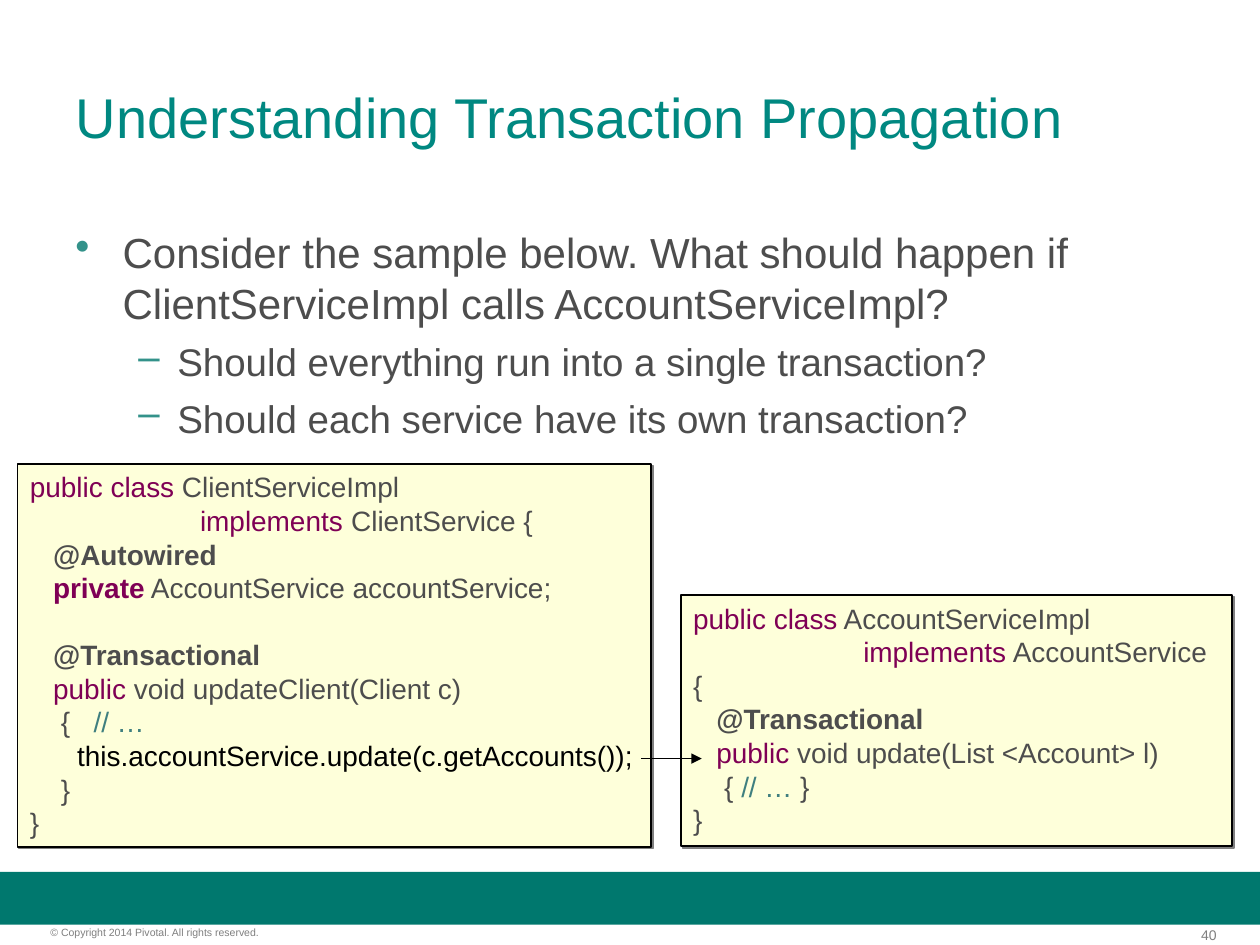
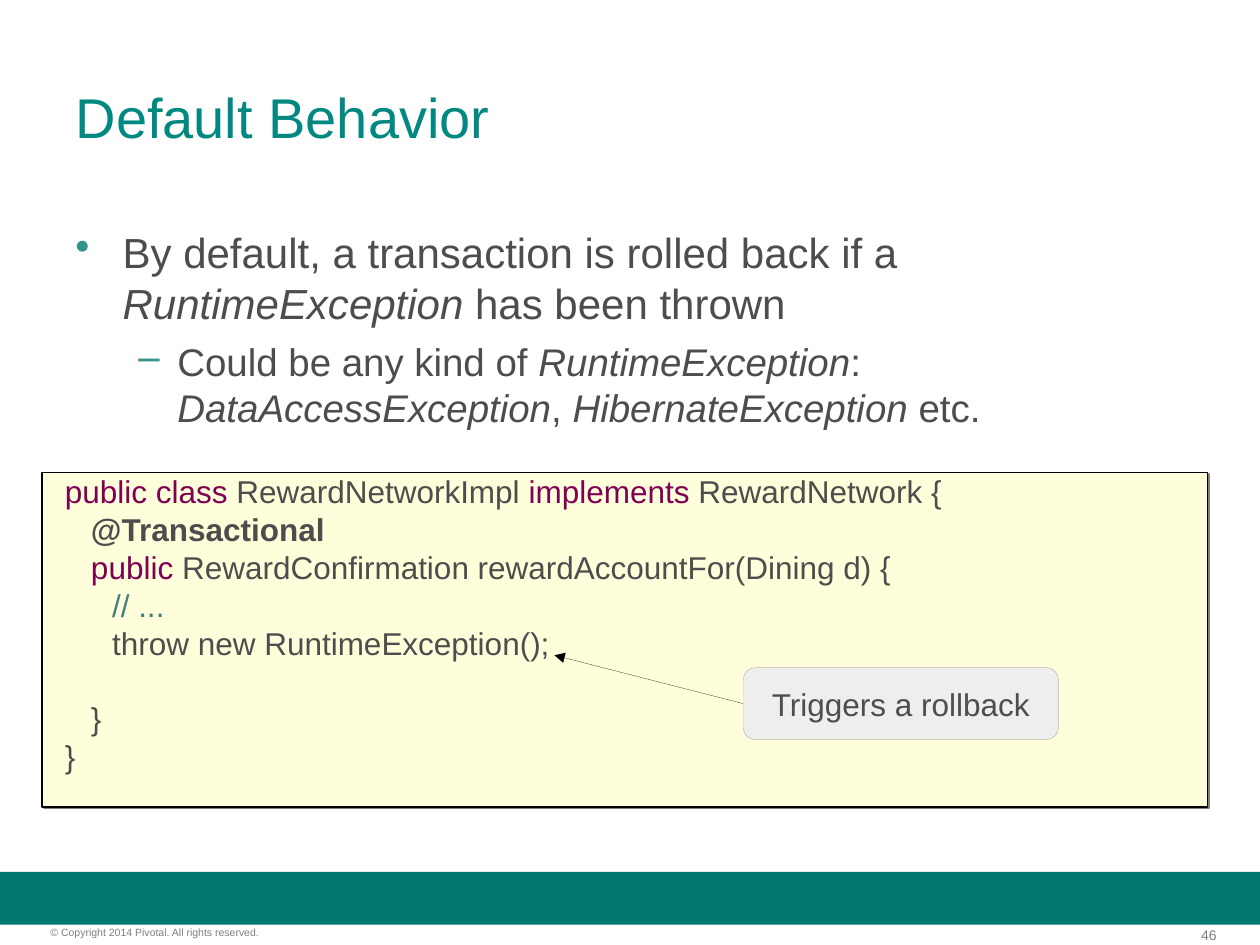
from lxml import etree
from pptx import Presentation
from pptx.dml.color import RGBColor
from pptx.enum import shapes, text
from pptx.oxml import ns
from pptx.util import Pt

FONT = "Arial"
LINE_HEIGHT = 1.2
HAIRLINE = 0.1
COLORS = {
    "title": "008881", "band": "00786E", "bullet": "33928A",
    "body": "4D4D4D", "footer": "7F7F7F", "black": "000000",
    "keyword": "7F0055", "comment": "3F7F7F",
    "code_fill": "FEFFDA", "shadow": "808080",
    "callout_fill": "EEEEEE", "callout_line": "808080",
}
# Run styles: colour, bold, italic
STYLES = {
    "plain": ("body", False, False),
    "italic": ("body", False, True),
    "annotation": ("body", True, False),
    "keyword": ("keyword", False, False),
    "bold keyword": ("keyword", True, False),
    "comment": ("comment", False, False),
    "call": ("black", False, False),
}
# Bullet levels: character, left margin, hanging indent, font size
LEVELS = [("•", 27, 27, 24), ("–", 58.3, 22.3, 22)]
CODE_INDENT = 27
IMPLEMENTS_INDENT = " " * 22

TITLE_BOX = (36, 21.6, 648, 90)
BODY_BOX = (36, 126, 648, 356.4)
BAND_BOX = (0, 498.2, 720, 30.2)
COPYRIGHT_BOX = (28.8, 529.2, 179.3, 7.2)
NUMBER_BOX = (670.3, 529.2, 25, 9.4)


def color(name):
    return RGBColor.from_string(COLORS[name])


def points(box):
    return [Pt(value) for value in box]


def add_xml(parent, tag, **attributes):
    element = etree.SubElement(parent, ns.qn(tag))
    for name, value in attributes.items():
        element.set(name, str(value))
    return element


def set_font(font, size, color_name):
    font.name, font.size = FONT, Pt(size)
    font.color.rgb = color(color_name)


def set_frame(frame, margins=(7.2, 3.6, 7.2, 3.6), anchor=text.MSO_ANCHOR.TOP, wrap=True):
    frame.auto_size = text.MSO_AUTO_SIZE.NONE
    frame.word_wrap = wrap
    frame.vertical_anchor = anchor
    (frame.margin_left, frame.margin_top,
     frame.margin_right, frame.margin_bottom) = points(margins)


def set_indent(paragraph, left, hanging):
    properties = paragraph._p.get_or_add_pPr()
    properties.set("marL", str(Pt(left)))
    properties.set("indent", str(-Pt(hanging)))
    return properties


def add_paragraph(frame, is_first):
    return frame.paragraphs[0] if is_first else frame.add_paragraph()


def add_runs(paragraph, runs, size):
    """Fill a paragraph from plain strings and (text, style) pairs."""
    paragraph.font.name, paragraph.font.size = FONT, Pt(size)
    for item in runs:
        words, style = (item, "plain") if isinstance(item, str) else item
        color_name, bold, italic = STYLES[style]
        run = paragraph.add_run()
        run.text = words
        set_font(run.font, size, color_name)
        run.font.bold, run.font.italic = bold, italic


def add_box(slide, box, fill, line=None, line_width=1, shape_type=shapes.MSO_SHAPE.RECTANGLE):
    shape = slide.shapes.add_shape(shape_type, *points(box))
    shape.shadow.inherit = False
    shape.fill.solid()
    shape.fill.fore_color.rgb = color(fill)
    if line:
        shape.line.color.rgb = color(line)
        shape.line.width = Pt(line_width)
    else:
        shape.line.fill.background()
    return shape


def add_small_text(slide, box, words, size, alignment):
    frame = slide.shapes.add_textbox(*points(box)).text_frame
    set_frame(frame, margins=(0, 0, 0, 0))
    paragraph = frame.paragraphs[0]
    paragraph.text, paragraph.alignment = words, alignment
    set_font(paragraph.font, size, "footer")


def add_title(slide, words):
    title = slide.shapes.title
    title.left, title.top, title.width, title.height = points(TITLE_BOX)
    set_frame(title.text_frame, anchor=text.MSO_ANCHOR.MIDDLE)
    paragraph = title.text_frame.paragraphs[0]
    paragraph.text, paragraph.alignment = words, text.PP_ALIGN.LEFT
    set_font(paragraph.font, 32, "title")


def add_bullets(slide, box, bullets):
    frame = slide.shapes.add_textbox(*points(box)).text_frame
    set_frame(frame)
    for index, (level, runs) in enumerate(bullets):
        character, left, hanging, size = LEVELS[level]
        paragraph = add_paragraph(frame, index == 0)
        paragraph.level = level
        properties = set_indent(paragraph, left, hanging)
        bullet_color = add_xml(properties, "a:buClr")
        add_xml(bullet_color, "a:srgbClr", val=COLORS["bullet"])
        add_xml(properties, "a:buChar", char=character)
        if index:
            paragraph.space_before = Pt(6)
        add_runs(paragraph, runs, size)


def add_code(slide, box, lines, size, margins=(7.2, 3.6, 7.2, 3.6)):
    """Draw a listing; an empty line becomes space before the next one."""
    shape = add_box(slide, box, "code_fill", "black")
    effects = shape._element.spPr.find(ns.qn("a:effectLst"))
    shadow = add_xml(effects, "a:outerShdw", dist=Pt(1.4), dir=45 * 60000, algn="tl")
    add_xml(shadow, "a:srgbClr", val=COLORS["shadow"])
    frame = shape.text_frame
    set_frame(frame, margins)
    gap = 0
    for index, runs in enumerate(lines):
        if not runs:
            gap = size * LINE_HEIGHT
            continue
        paragraph = add_paragraph(frame, index == 0)
        paragraph.alignment = text.PP_ALIGN.LEFT
        set_indent(paragraph, CODE_INDENT, CODE_INDENT)
        if gap:
            paragraph.space_before = Pt(gap)
        add_runs(paragraph, runs, size)
        gap = 0


def add_arrow(slide, start, end, width):
    arrow = slide.shapes.add_connector(
        shapes.MSO_CONNECTOR.STRAIGHT, *points(start + end))
    arrow.line.color.rgb = color("black")
    arrow.line.width = Pt(width)
    add_xml(arrow.line._get_or_add_ln(), "a:tailEnd", type="triangle")
    add_xml(arrow._element.spPr, "a:effectLst")


def add_callout(slide, box, words, target):
    """Draw a rounded label with an arrow from its left side to the target."""
    left, top, _, height = box
    add_arrow(slide, (left, top + height / 2), target, HAIRLINE)
    shape = add_box(slide, box, "callout_fill", "callout_line", HAIRLINE,
                    shapes.MSO_SHAPE.ROUNDED_RECTANGLE)
    set_frame(shape.text_frame, anchor=text.MSO_ANCHOR.MIDDLE, wrap=False)
    paragraph = shape.text_frame.paragraphs[0]
    paragraph.text, paragraph.alignment = words, text.PP_ALIGN.CENTER
    set_font(paragraph.font, 18, "body")


def add_slide(presentation, title, number, bullets):
    slide = presentation.slides.add_slide(presentation.slide_layouts.get_by_name("Title Only"))
    add_box(slide, BAND_BOX, "band")
    add_small_text(slide, NUMBER_BOX, str(number), 8, text.PP_ALIGN.RIGHT)
    add_small_text(slide, COPYRIGHT_BOX, "© Copyright 2014 Pivotal. All rights reserved.",
                   6, text.PP_ALIGN.LEFT)
    add_title(slide, title)
    add_bullets(slide, BODY_BOX, bullets)
    return slide


def add_propagation_slide(presentation):
    slide = add_slide(presentation, "Understanding Transaction Propagation", 40, [
        (0, ["Consider the sample below. What should happen if "
             "ClientServiceImpl calls AccountServiceImpl?"]),
        (1, ["Should everything run into a single transaction?"]),
        (1, ["Should each service have its own transaction?"]),
    ])
    add_code(slide, (10, 265, 362, 219), [
        [("public class", "keyword"), " ClientServiceImpl"],
        [(IMPLEMENTS_INDENT + "implements", "keyword"), " ClientService {"],
        [("   @Autowired", "annotation")],
        [("   private", "bold keyword"), " AccountService accountService;"],
        [],
        [("   @Transactional", "annotation")],
        [("   public", "keyword"), " void updateClient(Client c)"],
        ["    {   ", ("// …", "comment")],
        [("\tthis.accountService.update(c.getAccounts());", "call")],
        ["    }"],
        ["}"],
    ], 16)
    add_code(slide, (389, 340, 315, 143.5), [
        [("public class", "keyword"), " AccountServiceImpl"],
        [(IMPLEMENTS_INDENT + "implements", "keyword"), " AccountService"],
        ["{"],
        [("   @Transactional", "annotation")],
        [("   public", "keyword"), " void update(List <Account> l)"],
        ["    { ", ("// … ", "comment"), "}"],
        ["}"],
    ], 16)
    add_arrow(slide, (366.5, 433.5), (401, 433.5), 1)


def add_default_behavior_slide(presentation):
    slide = add_slide(presentation, "Default Behavior", 46, [
        (0, ["By default, a transaction is rolled back if a ",
             ("RuntimeException", "italic"), " has been thrown"]),
        (1, ["Could be any kind of ", ("RuntimeException", "italic"), ": ",
             ("DataAccessException", "italic"), ", ",
             ("HibernateException", "italic"), " etc."]),
    ])
    add_code(slide, (24, 270, 666, 191), [
        [("public class", "keyword"), " RewardNetworkImpl ",
         ("implements", "keyword"), " RewardNetwork {"],
        [("   @Transactional", "annotation")],
        [("   public", "keyword"), " RewardConfirmation rewardAccountFor(Dining d) {"],
        [("\t// ...", "comment")],
        ["\tthrow new RuntimeException();"],
        [],
        ["   }"],
        ["}"],
    ], 18, margins=(13, 0, 7.2, 0))
    add_callout(slide, (424.8, 381.6, 180, 41), "Triggers a rollback", (316.8, 374.4))


def main():
    presentation = Presentation()
    presentation.slide_width, presentation.slide_height = Pt(720), Pt(540)
    add_propagation_slide(presentation)
    add_default_behavior_slide(presentation)
    presentation.save("out.pptx")


if __name__ == "__main__":
    main()
